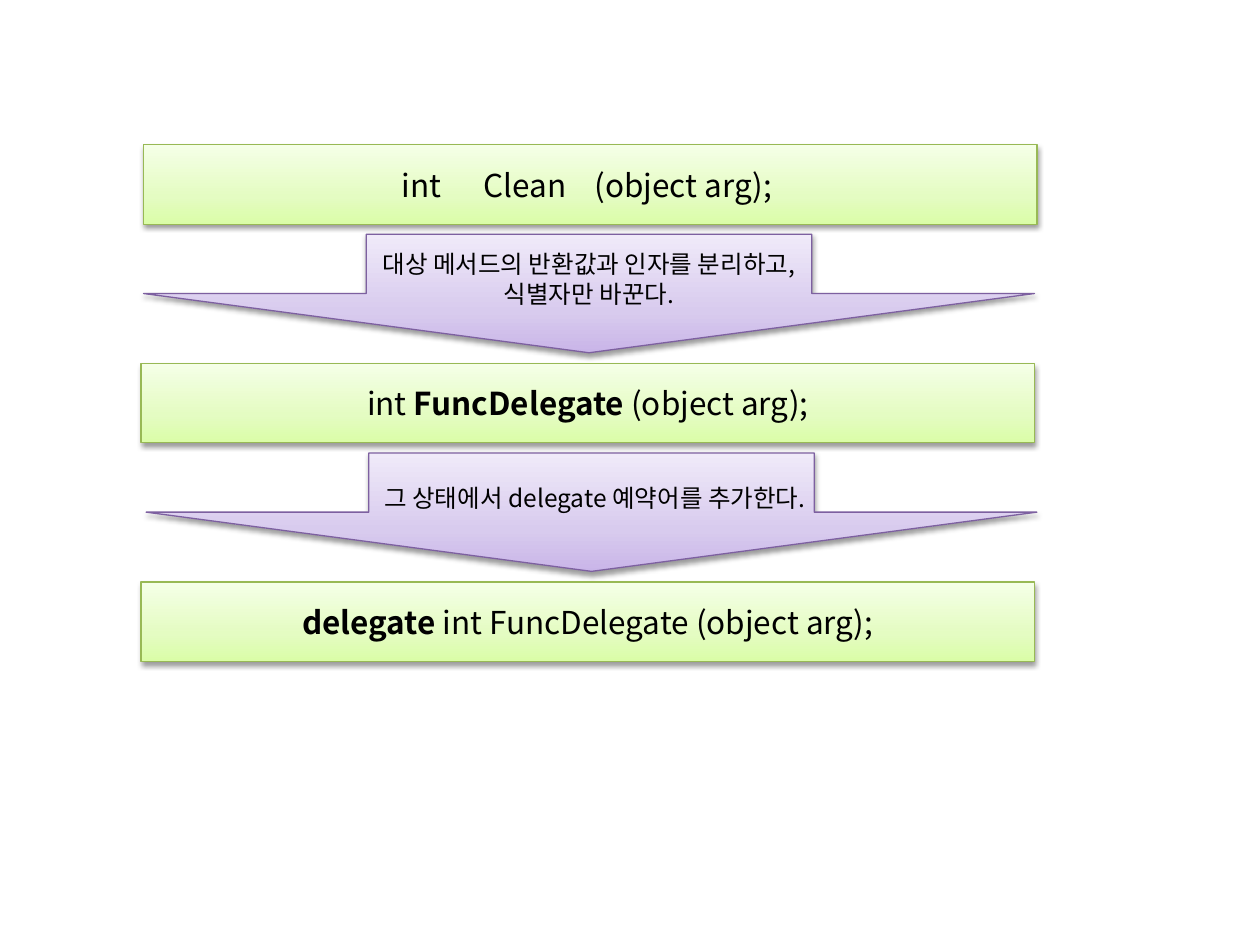
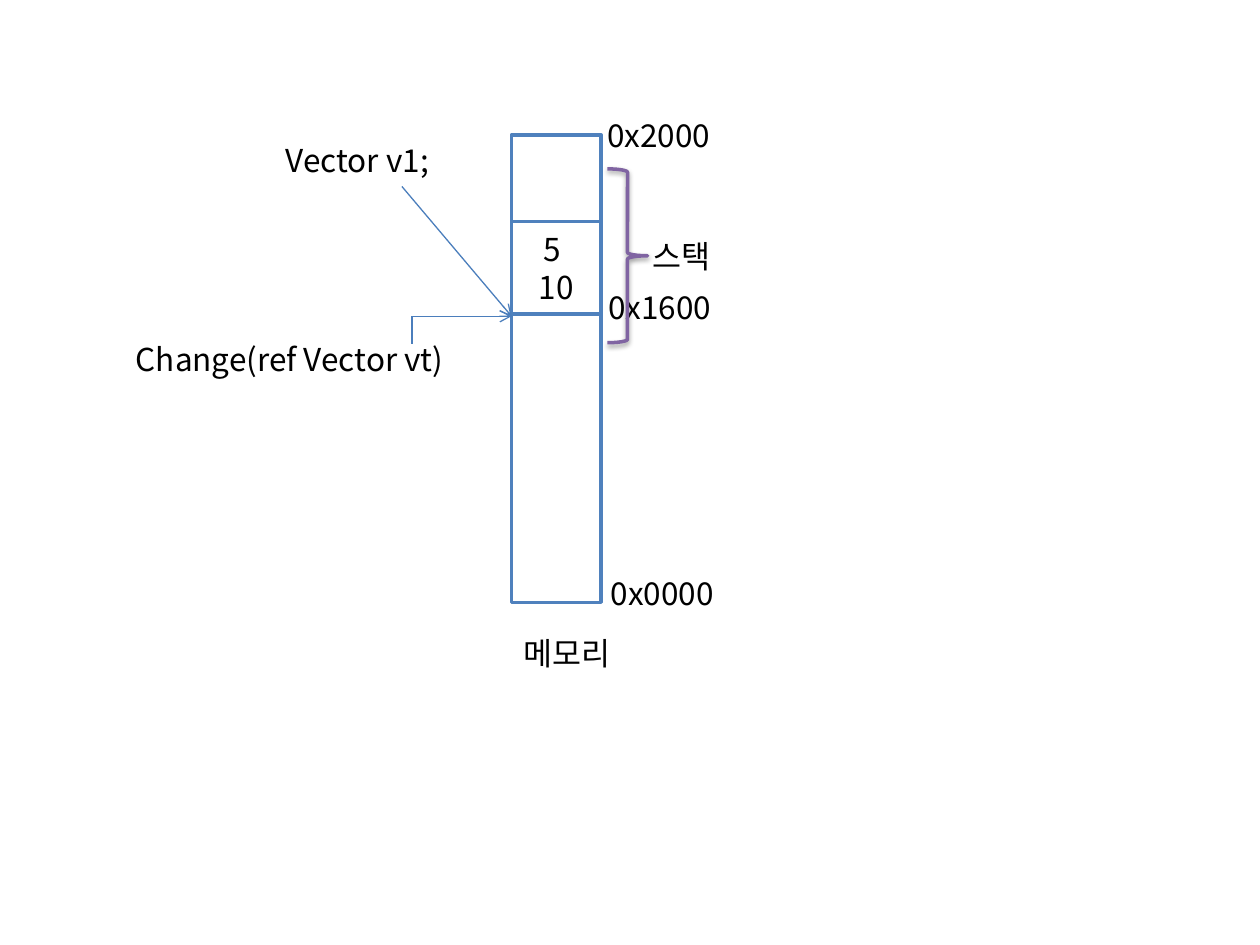
import lxml.etree
import pptx
import pptx.dml.color
import pptx.enum.shapes
import pptx.enum.text
import pptx.oxml
import pptx.oxml.ns
import pptx.util

Inches = pptx.util.Inches
Pt = pptx.util.Pt
SHAPES = pptx.enum.shapes.MSO_SHAPE
ALIGN = pptx.enum.text.PP_ALIGN
ANCHOR = pptx.enum.text.MSO_ANCHOR
qn = pptx.oxml.ns.qn

FONT = "Noto Sans CJK KR"
BLACK, WHITE = "000000", "FFFFFF"
BLUE, ARROW_BLUE, PURPLE = "4F81BD", "4B7EBC", "8064A2"
GREEN_STYLE = {"fill": ["DAFDA7", "E4FCC2", "F5FFE7"], "line": "98B955"}
PURPLE_STYLE = {"fill": ["C9B5E8", "D8CBEE", "F0EAF9"], "line": "7D60A0"}
GRADIENT_POSITIONS = [0, 35, 100]

CODE_STEPS = [
    (1.14, [("int\tClean\t(object arg);", False)]),
    (1.12, [("int ", False), ("FuncDelegate", True), (" (object arg);", False)]),
    (1.12, [("delegate", True), (" int FuncDelegate (object arg);", False)]),
]
EXPLANATIONS = [
    (1.14, "대상 메서드의 반환값과 인자를 분리하고, 식별자만 바꾼다."),
    (1.16, "그 상태에서 delegate 예약어를 추가한다."),
]
STEP_TOP, STEP_PITCH, EXPLANATION_OFFSET = 1.15, 1.735, 0.71
SIGNATURE_INSET, SIGNATURE_TABS = 2.05, [0.65, 1.53]

MEMORY_LEFT, MEMORY_WIDTH = 4.06, 0.71
MEMORY_CELLS = [(1.07, 0.94, ""), (1.76, 0.73, "5 \n10"), (2.49, 2.29, "")]
MEMORY_LABELS = [
    ("Vector v1;", 2.17, 1.07, 2.44),
    ("메모리", 4.06, 4.98, 1.34),
    ("0x0000", 4.75, 4.51, 1.34),
    ("0x2000", 4.72, 0.87, 1.34),
    ("Change(ref Vector vt)", 0.98, 2.65, 3.7),
    ("0x1600", 4.73, 2.24, 1.34),
]
STACK_LABEL = ("스택", 5.08, 1.83, 1.34)
REFERENCE_POINT, REFERENCE_CORNER = (MEMORY_LEFT, 2.51), (3.27, 2.51)
REFERENCE_LINES = [
    ((3.19, 1.48), REFERENCE_POINT, True),
    (REFERENCE_CORNER, REFERENCE_POINT, True),
    (REFERENCE_CORNER, (3.27, 2.73), False),
]


def color(value):
    return pptx.dml.color.RGBColor.from_string(value)


def add_xml(parent, tag, **attributes):
    return lxml.etree.SubElement(parent, qn(tag), attributes)


def write_text(shape, text, size=18, align=ALIGN.LEFT, anchor=ANCHOR.TOP, tabs=()):
    frame = shape.text_frame
    frame.word_wrap = True
    frame.vertical_anchor = anchor
    paragraph = frame.paragraphs[0]
    paragraph.alignment = align
    if tabs:
        tab_list = add_xml(paragraph._p.get_or_add_pPr(), "a:tabLst")
        for position in tabs:
            add_xml(tab_list, "a:tab", pos=str(Inches(position)), algn="l")
    runs = [(text, False)] if isinstance(text, str) else text
    for content, bold in runs:
        for index, part in enumerate(content.split("\n")):
            if index:
                paragraph.add_line_break()
            run = paragraph.add_run()
            run.text = part
            font = run.font
            font.name, font.size, font.bold = FONT, Pt(size), bold
            font.color.rgb = color(BLACK)
            add_xml(run._r.get_or_add_rPr(), "a:ea", typeface=FONT)


def fill_gradient(shape, stops):
    shape.fill.gradient()
    gradient = shape._element.spPr.find(qn("a:gradFill"))
    for child in list(gradient):
        gradient.remove(child)
    stop_list = add_xml(gradient, "a:gsLst")
    for position, value in zip(GRADIENT_POSITIONS, stops):
        stop = add_xml(stop_list, "a:gs", pos=str(position * 1000))
        add_xml(stop, "a:srgbClr", val=value)
    add_xml(gradient, "a:lin", ang=str(270 * 60000), scaled="0")


def add_shadow(shape):
    effects = shape._element.spPr.find(qn("a:effectLst"))
    shadow = add_xml(effects, "a:outerShdw", blurRad=str(Pt(3.1)), dist=str(Pt(1.6)),
                     dir=str(90 * 60000), rotWithShape="0")
    shadow_color = add_xml(shadow, "a:srgbClr", val=BLACK)
    add_xml(shadow_color, "a:alpha", val="38000")


def add_shape(slide, kind, left, top, width, height, fill=None, line=BLUE,
              line_width=0.75, shadow=True):
    shape = slide.shapes.add_shape(kind, Inches(left), Inches(top),
                                   Inches(width), Inches(height))
    shape.shadow.inherit = False
    shape.line.color.rgb = color(line)
    shape.line.width = Pt(line_width)
    if fill is None:
        shape.fill.background()
    elif isinstance(fill, str):
        shape.fill.solid()
        shape.fill.fore_color.rgb = color(fill)
    else:
        fill_gradient(shape, fill)
    if shadow:
        add_shadow(shape)
    return shape


def add_label(slide, text, left, top, width):
    label = slide.shapes.add_textbox(Inches(left), Inches(top), Inches(width), Inches(0.4))
    write_text(label, text)
    label.text_frame.auto_size = pptx.enum.text.MSO_AUTO_SIZE.SHAPE_TO_FIT_TEXT


def add_line(slide, start, end, arrow):
    points = [Inches(value) for value in start + end]
    connector = slide.shapes.add_connector(pptx.enum.shapes.MSO_CONNECTOR.STRAIGHT, *points)
    connector.line.color.rgb = color(ARROW_BLUE)
    connector.line.width = Pt(0.75)
    if arrow:
        add_xml(connector.line._get_or_add_ln(), "a:tailEnd", type="arrow")
    add_xml(connector._element.spPr, "a:effectLst")


def build_delegate_slide(slide):
    for index, (left, code) in enumerate(CODE_STEPS):
        top = STEP_TOP + index * STEP_PITCH
        box = add_shape(slide, SHAPES.RECTANGLE, left, top, 7.09, 0.63, **GREEN_STYLE)
        if index == 0:
            box.text_frame.margin_left = Inches(SIGNATURE_INSET)
            write_text(box, code, anchor=ANCHOR.MIDDLE, tabs=SIGNATURE_TABS)
        else:
            write_text(box, code, align=ALIGN.CENTER, anchor=ANCHOR.MIDDLE)
    for index, (left, explanation) in enumerate(EXPLANATIONS):
        top = STEP_TOP + EXPLANATION_OFFSET + index * STEP_PITCH
        arrow = add_shape(slide, SHAPES.DOWN_ARROW, left, top, 7.07, 0.94, **PURPLE_STYLE)
        write_text(arrow, explanation, size=14, align=ALIGN.CENTER, anchor=ANCHOR.MIDDLE)


def build_memory_slide(slide):
    for top, height, values in MEMORY_CELLS:
        cell = add_shape(slide, SHAPES.RECTANGLE, MEMORY_LEFT, top, MEMORY_WIDTH, height,
                         fill=WHITE, line_width=2, shadow=False)
        if values:
            write_text(cell, values, align=ALIGN.CENTER, anchor=ANCHOR.MIDDLE)
    for label in MEMORY_LABELS:
        add_label(slide, *label)
    for start, end, arrow in REFERENCE_LINES:
        add_line(slide, start, end, arrow)
    add_shape(slide, SHAPES.RIGHT_BRACE, 4.82, 1.34, 0.32, 1.38, line=PURPLE, line_width=2)
    add_label(slide, *STACK_LABEL)


def main():
    presentation = pptx.Presentation()
    presentation.slide_width = Inches(10)
    presentation.slide_height = Inches(7.5)
    for build in (build_delegate_slide, build_memory_slide):
        build(presentation.slides.add_slide(presentation.slide_layouts[6]))
    presentation.save("out.pptx")


if __name__ == "__main__":
    main()
